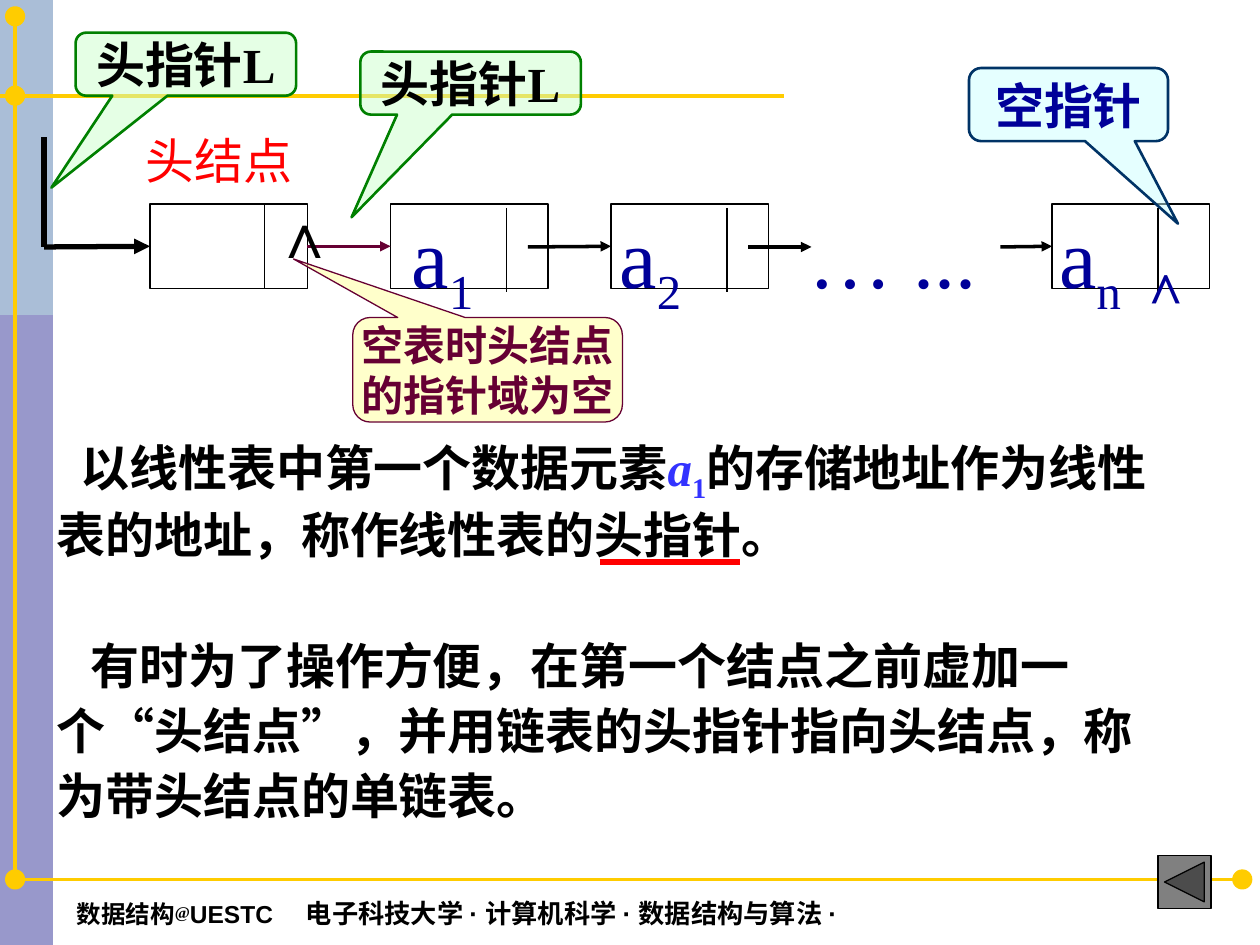
from lxml import etree
from pptx import Presentation
from pptx.dml.color import RGBColor
from pptx.enum.shapes import MSO_CONNECTOR, MSO_SHAPE
from pptx.enum.text import MSO_ANCHOR, PP_ALIGN
from pptx.oxml.ns import qn
from pptx.util import Inches, Pt

STRAIGHT = MSO_CONNECTOR.STRAIGHT
RECTANGLE, OVAL = MSO_SHAPE.RECTANGLE, MSO_SHAPE.OVAL
CALLOUT = MSO_SHAPE.ROUNDED_RECTANGULAR_CALLOUT
BACK_BUTTON = MSO_SHAPE.ACTION_BUTTON_BACK_OR_PREVIOUS
MIDDLE, CENTER = MSO_ANCHOR.MIDDLE, PP_ALIGN.CENTER
TOP_SIDE, LEFT_SIDE, RIGHT_SIDE = 0, 1, 3

BLACK = RGBColor(0, 0, 0)
WHITE = RGBColor(0xFF, 0xFF, 0xFF)
GRAY = RGBColor(0x80, 0x80, 0x80)
GOLD = RGBColor(0xFF, 0xCC, 0x00)
RED = RGBColor(0xFF, 0, 0)
INDIGO = RGBColor(0x33, 0x33, 0x99)
PALE_BLUE = RGBColor(0xBB, 0xE0, 0xE3)
BLUE = RGBColor(0x33, 0x33, 0xFF)
NAVY = RGBColor(0, 0, 0x99)
DARK_BLUE = RGBColor(0, 0x33, 0x66)
PALE_CYAN = RGBColor(0xCC, 0xFF, 0xFF)
GREEN = RGBColor(0, 0x80, 0)
PALE_GREEN = RGBColor(0xCC, 0xFF, 0xCC)
MAROON = RGBColor(0x66, 0, 0x33)
PALE_YELLOW = RGBColor(0xFF, 0xFF, 0x99)

TIMES, ARIAL, NOTO = "Times New Roman", "Arial", "Noto Sans CJK SC"

deck = Presentation()
deck.slide_width, deck.slide_height = Inches(10), Inches(7.5)
page = deck.slides.add_slide(deck.slide_layouts[6])
shapes = page.shapes


def draw_line(x1, y1, x2, y2, color, width, arrow=False):
    line = shapes.add_connector(STRAIGHT, Inches(x1), Inches(y1), Inches(x2), Inches(y2))
    line.line.color.rgb = color
    line.line.width = Pt(width)
    if arrow:
        etree.SubElement(line.line._get_or_add_ln(), qn("a:tailEnd"), type="triangle")
    etree.SubElement(line._element.spPr, qn("a:effectLst"))
    return line


def write(para, spans, size, font, color, bold=False, tabs=()):
    """Fill a paragraph with (text, overrides) spans on top of one shared font."""
    if tabs:
        tab_list = etree.SubElement(para._p.get_or_add_pPr(), qn("a:tabLst"))
        for stop in tabs:
            etree.SubElement(tab_list, qn("a:tab"), pos=str(Inches(stop)), algn="l")
    para.font.size, para.font.name = Pt(size), font
    para.font.color.rgb, para.font.bold = color, bold
    for text, changes in spans:
        span = para.add_run()
        span.text = text
        for key, value in changes.items():
            if key == "baseline":
                span._r.get_or_add_rPr().set("baseline", str(value * 1000))
            elif key == "color":
                span.font.color.rgb = value
            else:
                setattr(span.font, key, value)


# Side bands, gold frame and footer
for height, color, opacity in [(7.5, INDIGO, 50), (2.5, PALE_BLUE, 53)]:
    band = shapes.add_shape(RECTANGLE, 0, 0, Inches(0.42), Inches(height))
    band.shadow.inherit = False
    band.fill.solid()
    band.fill.fore_color.rgb = color
    band.line.fill.background()
    tint = band._element.spPr.find(".//" + qn("a:srgbClr"))
    etree.SubElement(tint, qn("a:alpha"), val=str(opacity * 1000))

for ends in [(0.2, 6.98, 9.88, 6.98), (0, 0.76, 6.22, 0.76), (0.12, 6.98, 0.12, 0.13)]:
    draw_line(*ends, GOLD, 2)
for x, y in [(0.04, 6.9), (9.78, 6.9), (0.04, 0.68), (0.04, 0.05)]:
    dot = shapes.add_shape(OVAL, Inches(x), Inches(y), Inches(0.16), Inches(0.16))
    dot.shadow.inherit = False
    dot.fill.solid()
    dot.fill.fore_color.rgb = GOLD
    dot.line.fill.background()

# Text boxes: place, first-line indent, line spacing, wrap, spans, shared font, tab stops
SUB = {"baseline": -25}
SMALL = {"size": Pt(14)}
CHINESE = {"name": NOTO}
texts = [
    ((0.51, 7.06, 6.53, 0.29), 0, 1, True,
     [("数据结构", SMALL), ("@", {"size": Pt(16), "name": TIMES, "baseline": 20}),
      ("UESTC\t", SMALL), ("电子科技大学 ", CHINESE), ("· ", {}), ("计算机科学 ", CHINESE),
      ("· ", {}), ("数据结构与算法 ", CHINESE), ("·", {})],
     (15, ARIAL, BLACK, True, [1.82])),
    ((0.35, 3.42, 9.17, 1.1), 0.19, 1, True,
     [("以线性表中第一个数据元素", CHINESE), ("a", {"color": BLUE, "italic": True}),
      ("1", {"color": BLUE, "baseline": -25}),
      ("的存储地址作为线性表的地址，称作线性表的头指针。", CHINESE)],
     (28, TIMES, BLACK, True)),
    ((1.06, 0.99, 1.88, 0.57), 0, 1, True, [("头结点", {})], (28, TIMES, RED)),
    ((2.69, 1.41, 7.17, 2.38), 0, 1, True,
     [("\ta", {}), ("1", SUB), ("\ta", {}), ("2", SUB), ("\t… ...\ta", {}), ("n", SUB),
      ("\t", {}), ("^", {"size": Pt(60), "bold": True, "baseline": -25})],
     (48, TIMES, NAVY, False, [0.48, 2.13, 3.63, 5.62, 6.33])),
    ((0.35, 4.95, 9.1, 1.64), 0.27, 1.1, True,
     [("有时为了操作方便，在第一个结点之前虚加一个“头结点”，并用链表的头指针指向头结点，称为带头结点的单链表", {}),
      ("。", CHINESE)],
     (28, TIMES, BLACK, True)),
    ((2.07, 1.5, 0.36, 0.7), 0, 1, False, [("∧", {})], (36, ARIAL, BLACK, True)),
]

# Linked list: nodes, pointer fields and arrows
nodes = []
for x, divider, top, bottom in [(1.19, 2.1, 1.62, 2.29), (3.1, 4.02, 1.65, 2.32),
                                (4.85, 5.77, 1.65, 2.32), (8.35, 9.19, 1.65, 2.32)]:
    node = shapes.add_shape(RECTANGLE, Inches(x), Inches(1.62), Inches(1.25), Inches(0.67))
    node.shadow.inherit = False
    node.fill.background()
    node.line.color.rgb = BLACK
    node.line.width = Pt(0.75)
    draw_line(divider, top, divider, bottom, BLACK, 0.75)
    nodes.append(node)
head, first, second, last = nodes
head.fill.solid()
head.fill.fore_color.rgb = WHITE

draw_line(0.35, 1.09, 0.35, 1.96, BLACK, 3)
draw_line(0.35, 1.96, 1.19, 1.96, BLACK, 3, True).end_connect(head, LEFT_SIDE)
head_link = draw_line(2.44, 1.96, 3.1, 1.96, MAROON, 2, True)
head_link.begin_connect(head, RIGHT_SIDE)
head_link.end_connect(first, LEFT_SIDE)
draw_line(4.19, 1.96, 4.85, 1.96, BLACK, 2, True).end_connect(second, LEFT_SIDE)
draw_line(5.94, 1.96, 6.44, 1.96, BLACK, 2, True)
draw_line(7.94, 1.96, 8.35, 1.96, BLACK, 2, True).end_connect(last, LEFT_SIDE)

for place, indent, spacing, wrap, spans, style in texts:
    box = shapes.add_textbox(*map(Inches, place))
    box.text_frame.word_wrap = wrap
    para = box.text_frame.paragraphs[0]
    para.line_spacing = spacing
    if indent:
        para._p.get_or_add_pPr().set("indent", str(Inches(indent)))
    write(para, spans, *style)

draw_line(4.76, 4.46, 5.87, 4.46, RED, 3)

# Callouts: place, pointer tip, fill, outline, text
callouts = [
    ((2.86, 0.41, 1.75, 0.5), (-0.54, 2.13), PALE_GREEN, GREEN, 1.5, ["头指针L"], 28, BLACK),
    ((0.6, 0.26, 1.75, 0.5), (-0.61, 1.96), PALE_GREEN, GREEN, 1.5, ["头指针L"], 28, BLACK),
    ((7.69, 0.54, 1.58, 0.58), (0.55, 1.63), PALE_CYAN, DARK_BLUE, 1.5, ["空指针"], 28, NAVY),
    ((2.8, 2.52, 2.14, 0.83), (-0.72, -1.06), PALE_YELLOW, MAROON, 0.75,
     ["空表时头结点", "的指针域为空"], 24, MAROON),
]
for place, tip, fill, outline, width, lines, size, color in callouts:
    callout = shapes.add_shape(CALLOUT, *map(Inches, place))
    callout.shadow.inherit = False
    callout.adjustments[0], callout.adjustments[1] = tip
    callout.fill.solid()
    callout.fill.fore_color.rgb = fill
    tint = callout._element.spPr.find(".//" + qn("a:srgbClr"))
    etree.SubElement(tint, qn("a:alpha"), val="50000")
    callout.line.color.rgb = outline
    callout.line.width = Pt(width)
    frame = callout.text_frame
    frame.word_wrap = False
    frame.vertical_anchor = MIDDLE
    for number, text in enumerate(lines):
        para = frame.add_paragraph() if number else frame.paragraphs[0]
        para.alignment = CENTER
        write(para, [(text, {})], size, TIMES, color, True)

button = shapes.add_shape(BACK_BUTTON, Inches(9.19), Inches(6.79), Inches(0.42), Inches(0.42))
button.shadow.inherit = False
button.fill.solid()
button.fill.fore_color.rgb = GRAY
button.line.color.rgb = BLACK
button.line.width = Pt(0.75)

deck.save("out.pptx")
